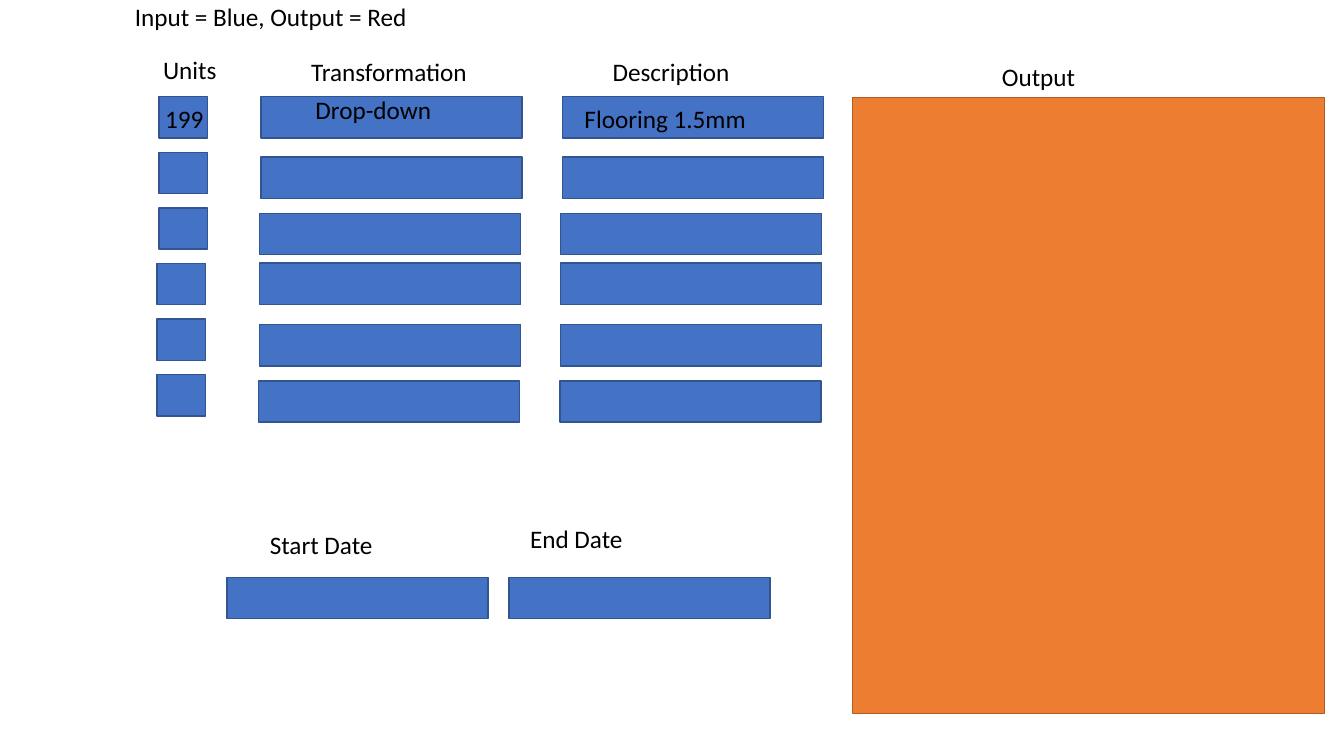
from dataclasses import dataclass

from pptx import Presentation
from pptx.dml.color import RGBColor
from pptx.enum.shapes import MSO_SHAPE
from pptx.enum.text import MSO_AUTO_SIZE
from pptx.util import Cm, Pt

RECTANGLE = MSO_SHAPE.RECTANGLE
GROW = MSO_AUTO_SIZE.SHAPE_TO_FIT_TEXT
BLANK_LAYOUT = 6


@dataclass(frozen=True)
class Theme:
    input_fill: RGBColor = RGBColor(0x44, 0x72, 0xC4)
    input_line: RGBColor = RGBColor(0x32, 0x54, 0x91)
    output_fill: RGBColor = RGBColor(0xED, 0x7D, 0x31)
    output_line: RGBColor = RGBColor(0xAF, 0x5C, 0x24)
    text: RGBColor = RGBColor(0, 0, 0)
    font: str = "Calibri"
    text_size: Pt = Pt(18)
    line_width: Pt = Pt(1)


THEME = Theme()
FIELD_HEIGHT = 1.04
FIELD_WIDTH = 6.58
UNIT_WIDTH = 1.22
LABEL_HEIGHT = 1.02
FIRST_ROW = 2.44
UNIT_PITCH = 1.4
FIELD_COLUMNS = (6.58, 14.17)
FIELD_TOPS = (FIRST_ROW, 3.96, 5.38, 6.63, 8.18, 9.6)
FIELD_SHIFTS = (0, 0, -0.04, -0.04, -0.04, -0.06)
UNIT_LEFTS = (4.01, 4.01, 4.01, 3.96, 3.96, 3.96)
DATE_TOP = 14.55
DATE_LEFTS = (5.72, 12.83)

LABELS = (
    ("Input = Blue, Output = Red", 3.15, -0.08, 7.44),
    ("Units", 3.86, 1.24, 1.88),
    ("Transformation", 7.59, 1.3, 4.47),
    ("Description", 15.19, 1.3, 3.51),
    ("Output", 25, 1.42, 2.39),
    ("199", 3.91, 2.49, 1.5),
    ("Drop-down", 7.7, 2.24, 3.45),
    ("Flooring 1.5mm", 14.48, 2.49, 4.62),
    ("Start Date", 6.55, 13.21, 3.12),
    ("End Date", 13.11, 13.06, 2.87),
)


def add_panel(page, left, top, width, height, fill, line):
    panel = page.shapes.add_shape(RECTANGLE, Cm(left), Cm(top), Cm(width), Cm(height))
    panel.shadow.inherit = False
    panel.fill.solid()
    panel.fill.fore_color.rgb = fill
    panel.line.color.rgb = line
    panel.line.width = THEME.line_width


def add_input(page, left, top, width=FIELD_WIDTH):
    add_panel(page, left, top, width, FIELD_HEIGHT, THEME.input_fill, THEME.input_line)


def add_label(page, text, left, top, width):
    box = page.shapes.add_textbox(Cm(left), Cm(top), Cm(width), Cm(LABEL_HEIGHT))
    frame = box.text_frame
    frame.word_wrap = False
    frame.auto_size = GROW
    para = frame.paragraphs[0]
    para.text = text
    para.font.name = THEME.font
    para.font.size = THEME.text_size
    para.font.color.rgb = THEME.text


def main():
    deck = Presentation()
    deck.slide_width = Cm(33.87)
    deck.slide_height = Cm(19.05)
    page = deck.slides.add_slide(deck.slide_layouts[BLANK_LAYOUT])

    for column in FIELD_COLUMNS:
        for top, shift in zip(FIELD_TOPS, FIELD_SHIFTS):
            add_input(page, column + shift, top)
    for row, left in enumerate(UNIT_LEFTS):
        add_input(page, left, FIRST_ROW + row * UNIT_PITCH, UNIT_WIDTH)
    for left in DATE_LEFTS:
        add_input(page, left, DATE_TOP)
    add_panel(page, 21.49, 2.46, 11.89, 15.52, THEME.output_fill, THEME.output_line)
    for label in LABELS:
        add_label(page, *label)

    deck.save("out.pptx")


if __name__ == "__main__":
    main()
